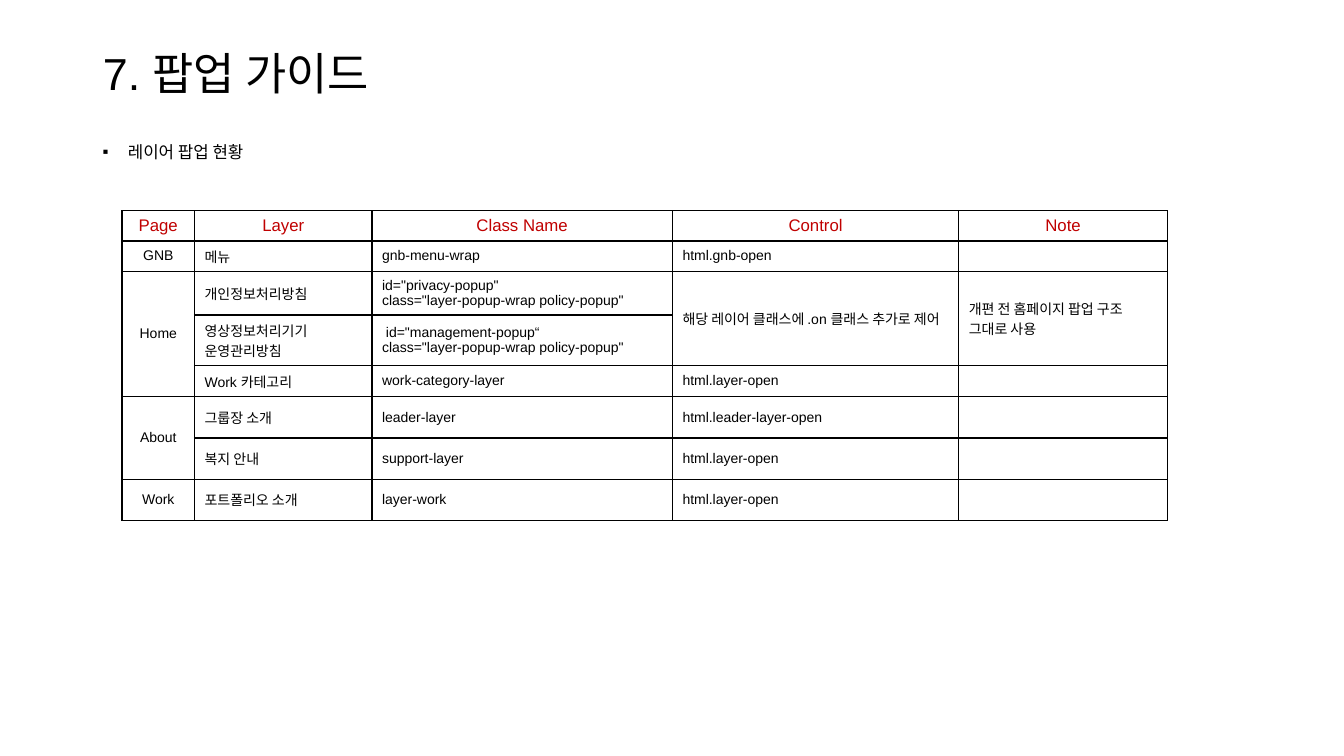
from dataclasses import dataclass

from lxml import etree
from pptx import Presentation
from pptx import util as u
from pptx.dml.color import RGBColor
from pptx.enum import text
from pptx.oxml.ns import qn


@dataclass(frozen=True)
class Theme:
    font: str = "Arial"
    ink: RGBColor = RGBColor(0, 0, 0)
    accent: RGBColor = RGBColor(0xC0, 0, 0)
    title_size: int = 32
    lead_size: int = 12
    body_size: int = 10
    border_width: int = 1


@dataclass(frozen=True)
class PopupRow:
    height: float
    page: str
    layer: str
    class_name: str
    control: str
    note: str = ""

    def texts(self) -> tuple[str, ...]:
        return self.page, self.layer, self.class_name, self.control, self.note


@dataclass(frozen=True)
class Span:
    column: int
    first_row: int
    last_row: int


THEME = Theme()
COLUMN_WIDTHS = (0.72, 1.76, 2.98, 2.84, 2.07)
POPUP_ROWS = (
    PopupRow(0.29, "Page", "Layer", "Class Name", "Control", "Note"),
    PopupRow(0.3, "GNB", "메뉴", "gnb-menu-wrap", "html.gnb-open"),
    PopupRow(0.41, "Home", "개인정보처리방침",
             'id="privacy-popup"\nclass="layer-popup-wrap policy-popup"',
             "해당 레이어 클래스에 .on 클래스 추가로 제어",
             "개편 전 홈페이지 팝업 구조 그대로 사용"),
    PopupRow(0.5, "", "영상정보처리기기 운영관리방침",
             ' id="management-popup“\nclass="layer-popup-wrap policy-popup"', ""),
    PopupRow(0.31, "", "Work 카테고리", "work-category-layer", "html.layer-open"),
    PopupRow(0.41, "About", "그룹장 소개", "leader-layer", "html.leader-layer-open"),
    PopupRow(0.41, "", "복지 안내", "support-layer", "html.layer-open"),
    PopupRow(0.41, "Work", "포트폴리오 소개", "layer-work", "html.layer-open"),
)
SPANS = (Span(0, 2, 4), Span(3, 2, 3), Span(4, 2, 3), Span(0, 5, 6))


def format_runs(paragraph, size: int, color: RGBColor) -> None:
    for run in paragraph.runs:
        run.font.name = THEME.font
        run.font.size = u.Pt(size)
        run.font.color.rgb = color


def draw_borders(cell) -> None:
    properties = cell._tc.get_or_add_tcPr()
    for position, side in enumerate(("a:lnL", "a:lnR", "a:lnT", "a:lnB")):
        line = etree.Element(qn(side), w=str(u.Pt(THEME.border_width)))
        fill = etree.SubElement(line, qn("a:solidFill"))
        etree.SubElement(fill, qn("a:srgbClr"), val=str(THEME.ink))
        properties.insert(position, line)


def fill_cell(cell, content: str, is_header: bool, centred: bool) -> None:
    size = THEME.lead_size if is_header else THEME.body_size
    cell.text_frame.text = content
    cell.fill.background()
    if not is_header:
        cell.vertical_anchor = text.MSO_ANCHOR.MIDDLE
    for paragraph in cell.text_frame.paragraphs:
        if centred:
            paragraph.alignment = text.PP_ALIGN.CENTER
        format_runs(paragraph, size, THEME.accent if is_header else THEME.ink)
        # Keeps empty cells from stretching their row
        etree.SubElement(paragraph._p, qn("a:endParaRPr"), sz=str(size * 100))
    draw_borders(cell)


def add_title(slide) -> None:
    title = slide.shapes.title
    title.left, title.top = u.Inches(0.92), u.Inches(0.4)
    title.width, title.height = u.Inches(11.5), u.Inches(0.71)
    frame = title.text_frame
    frame.text = "7. 팝업 가이드"
    frame.auto_size = text.MSO_AUTO_SIZE.NONE
    frame.vertical_anchor = text.MSO_ANCHOR.MIDDLE
    heading = frame.paragraphs[0]
    heading.alignment = text.PP_ALIGN.LEFT
    heading.line_spacing = 0.9
    format_runs(heading, THEME.title_size, THEME.ink)


def add_status_bullet(slide) -> None:
    box = slide.shapes.add_textbox(
        u.Inches(0.92), u.Inches(1.36), u.Inches(2.73), u.Inches(0.36))
    box.text_frame.word_wrap = True
    status = box.text_frame.paragraphs[0]
    status.text = "레이어 팝업 현황"
    status.space_before = u.Pt(10)
    format_runs(status, THEME.lead_size, THEME.ink)
    properties = status._p.get_or_add_pPr()
    properties.set("marL", str(u.Inches(0.25)))
    properties.set("indent", str(-u.Inches(0.25)))
    etree.SubElement(properties, qn("a:buFont"), typeface=THEME.font)
    etree.SubElement(properties, qn("a:buChar"), char="▪")


def add_popup_table(slide) -> None:
    popups = slide.shapes.add_table(
        len(POPUP_ROWS), len(COLUMN_WIDTHS), u.Inches(1.21), u.Inches(2.09),
        u.Inches(sum(COLUMN_WIDTHS)),
        u.Inches(sum(row.height for row in POPUP_ROWS))).table
    popups.first_row = popups.horz_banding = False
    for column, width in zip(popups.columns, COLUMN_WIDTHS):
        column.width = u.Inches(width)
    for row_index, popup in enumerate(POPUP_ROWS):
        popups.rows[row_index].height = u.Inches(popup.height)
        is_header = row_index == 0
        for column_index, content in enumerate(popup.texts()):
            fill_cell(popups.cell(row_index, column_index), content,
                      is_header, centred=is_header or column_index == 0)
    for span in SPANS:
        popups.cell(span.first_row, span.column).merge(
            popups.cell(span.last_row, span.column))


def main() -> None:
    deck = Presentation()
    deck.slide_width, deck.slide_height = u.Inches(13.33), u.Inches(7.5)
    slide = deck.slides.add_slide(deck.slide_layouts.get_by_name("Title Only"))
    add_title(slide)
    add_status_bullet(slide)
    add_popup_table(slide)
    deck.save("out.pptx")


if __name__ == "__main__":
    main()
